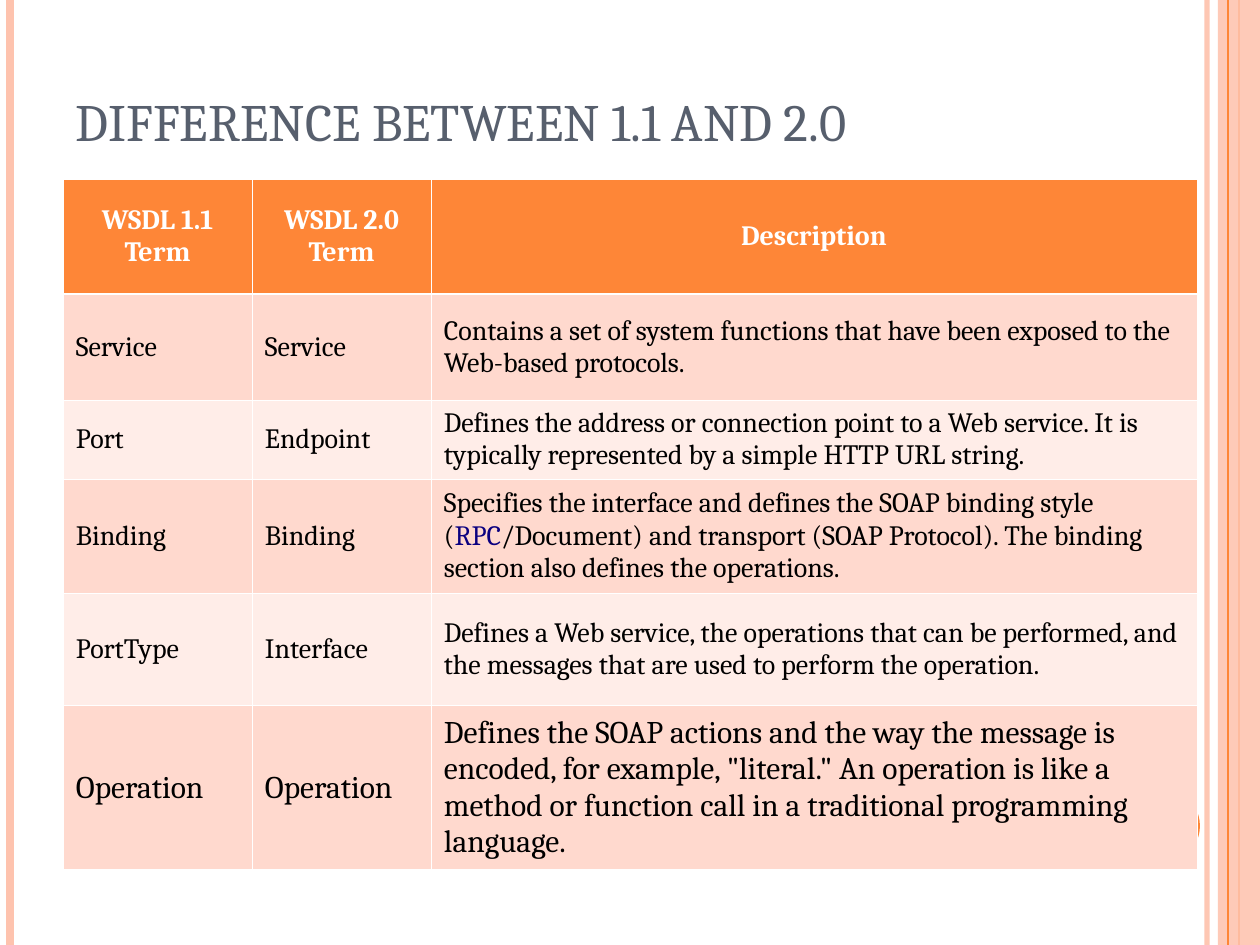
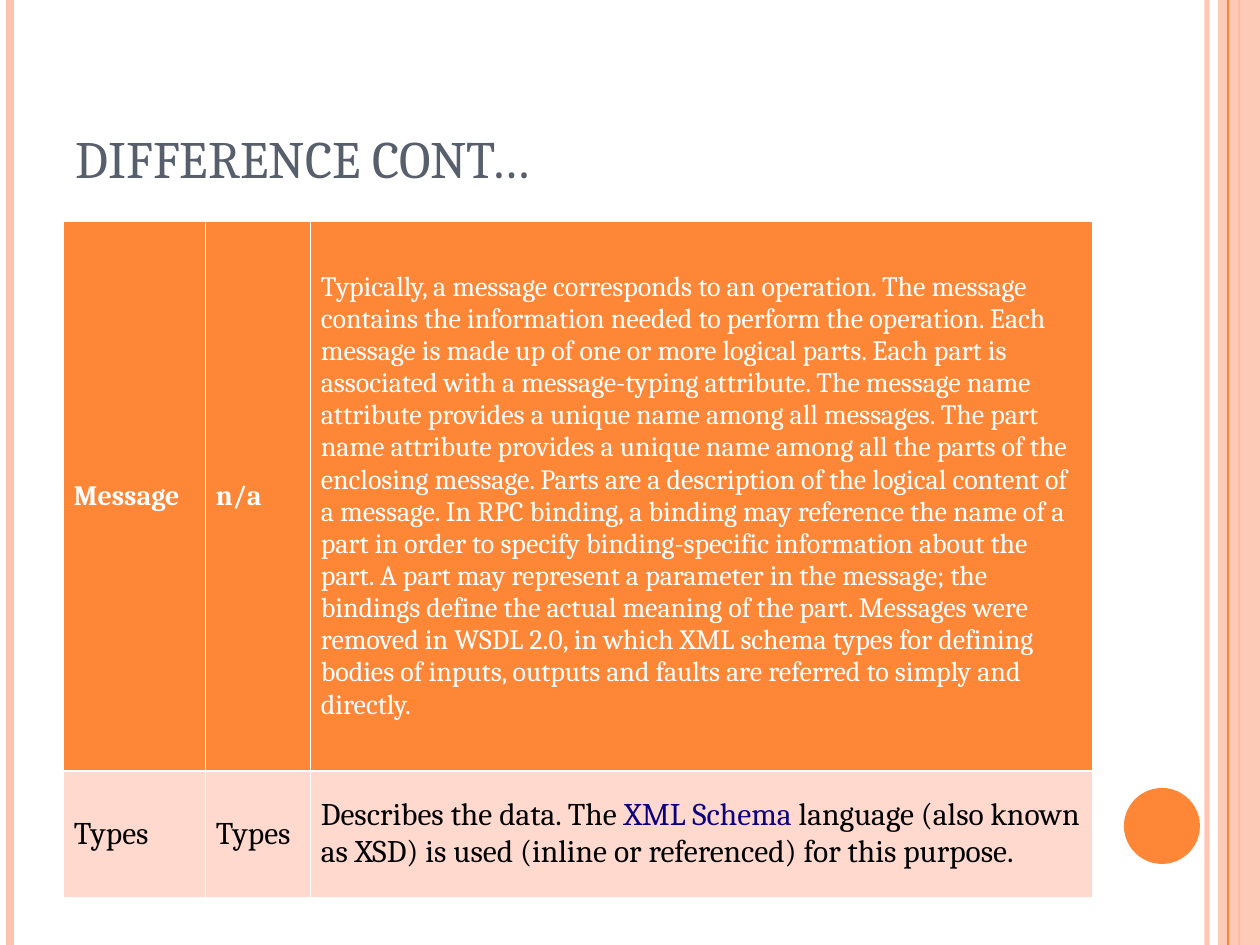
from lxml import etree
from pptx import Presentation
from pptx.dml.color import RGBColor
from pptx.enum.shapes import MSO_CONNECTOR, MSO_SHAPE
from pptx.enum.text import MSO_ANCHOR, MSO_AUTO_SIZE, PP_ALIGN
from pptx.oxml.ns import qn
from pptx.util import Emu, Pt

STRAIGHT = MSO_CONNECTOR.STRAIGHT
RECT, OVAL = MSO_SHAPE.RECTANGLE, MSO_SHAPE.OVAL
LEFT, CENTER = PP_ALIGN.LEFT, PP_ALIGN.CENTER
MIDDLE, BOTTOM = MSO_ANCHOR.MIDDLE, MSO_ANCHOR.BOTTOM
FIXED = MSO_AUTO_SIZE.NONE

ORANGE = RGBColor(0xFE, 0x86, 0x37)
PEACH = RGBColor(0xFE, 0xC3, 0xAE)
ROSE = RGBColor(0xFF, 0xD9, 0xCE)
PALE = RGBColor(0xFF, 0xED, 0xE8)
SLATE = RGBColor(0x57, 0x5F, 0x6D)
NAVY = RGBColor(0x0B, 0x00, 0x80)
WHITE = RGBColor(0xFF, 0xFF, 0xFF)
BLACK = RGBColor(0x00, 0x00, 0x00)

FONT = "Cambria"
WIDE, HIGH = 1260, 945
THIN, THICK = 0.45, 1.47

# A part of a cell between two bars is set in the link colour.
TERMS = [
    ["WSDL 1.1 Term", "WSDL 2.0 Term", "Description"],
    ["Service", "Service",
     "Contains a set of system functions that have been exposed to the "
     "Web-based protocols."],
    ["Port", "Endpoint",
     "Defines the address or connection point to a Web service. It is "
     "typically represented by a simple HTTP URL string."],
    ["Binding", "Binding",
     "Specifies the interface and defines the SOAP binding style "
     "(|RPC|/Document) and transport (SOAP Protocol). The binding section "
     "also defines the operations."],
    ["PortType", "Interface",
     "Defines a Web service, the operations that can be performed, and the "
     "messages that are used to perform the operation."],
    ["Operation", "Operation",
     "Defines the SOAP actions and the way the message is encoded, for "
     "example, \"literal.\" An operation is like a method or function call "
     "in a traditional programming language."],
]
MESSAGE = [
    "Typically, a message corresponds to an operation. The message contains "
    "the information needed to perform the operation. Each message is made "
    "up of one or more logical parts. Each part is associated with a "
    "message-typing attribute. The message name attribute provides a unique "
    "name among all messages.",
    "The part name attribute provides a unique name among all the parts of "
    "the enclosing message. Parts are a description of the logical content "
    "of a message. In RPC binding, a binding may reference the name of a "
    "part in order to specify binding-specific information about the part.",
    "A part may represent a parameter in the message; the bindings define "
    "the actual meaning of the part. Messages were removed in WSDL 2.0, in "
    "which XML schema types for defining bodies of inputs, outputs and "
    "faults are referred to simply and directly.",
]
MORE = [
    ["Message", "n/a", " ".join(MESSAGE)],
    ["Types", "Types",
     "Describes the data. The |XML Schema| language (also known as XSD) is "
     "used (inline or referenced) for this purpose."],
]


def px(count):
    return Emu(round(count * 914400 / 126))


def fade(shape, share):
    """Make the shape's colour opaque to the given percentage."""
    for tint in shape.element.spPr.iter(qn("a:srgbClr")):
        etree.SubElement(tint, qn("a:alpha"), val=str(share * 1000))


def stripe(slide, x, color, width):
    line = slide.shapes.add_connector(STRAIGHT, px(x), 0, px(x), px(HIGH))
    line.line.color.rgb = color
    line.line.width = Pt(width)
    etree.SubElement(line.element.spPr, qn("a:effectLst"))
    return line


def block(slide, kind, box, color):
    shape = slide.shapes.add_shape(kind, *map(px, box))
    shape.shadow.inherit = False
    shape.fill.solid()
    shape.fill.fore_color.rgb = color
    shape.line.fill.background()
    return shape


def frame(slide):
    """Draw the side bands and the disc that all slides share."""
    fade(stripe(slide, 1207, PEACH, 3), 93)
    stripe(slide, 10, PEACH, 4.5)
    stripe(slide, 1239, ORANGE, 1.5)
    fade(block(slide, RECT, (1218, 0, WIDE - 1218, HIGH), PEACH), 87)
    stripe(slide, 1228, ORANGE, 0.75)
    block(slide, OVAL, (1124, 788, 76, 76), ORANGE)


def style(para, size, color, bold=False, align=LEFT):
    para.alignment = align
    font = para.font
    font.name, font.size, font.bold = FONT, Pt(size), bold
    font.color.rgb = color


def head(slide, text, box):
    title = slide.shapes.title
    title.left, title.top, title.width, title.height = map(px, box)
    body = title.text_frame
    body.text = text
    body.auto_size = FIXED
    body.word_wrap = True
    body.vertical_anchor = BOTTOM
    style(body.paragraphs[0], 30, SLATE)


def rule(cell, row):
    """Border a cell in white, heavier between the first two rows."""
    props = cell._tc.get_or_add_tcPr()
    widths = {"L": THIN, "R": THIN,
              "T": THICK if row == 1 else THIN,
              "B": THICK if row == 0 else THIN}
    for side, width in widths.items():
        edge = etree.SubElement(props, qn("a:ln" + side), w=str(Pt(width)))
        fill = etree.SubElement(edge, qn("a:solidFill"))
        etree.SubElement(fill, qn("a:srgbClr"), val=str(WHITE))


def write(cell, text, **look):
    para = cell.text_frame.paragraphs[0]
    style(para, **look)
    for spot, part in enumerate(text.split("|")):
        run = para.add_run()
        run.text = part
        if spot % 2:
            run.font.color.rgb = NAVY


def grid(slide, spot, cols, rows, cells, inset, bold, align):
    """Add a table; the first `bold` cells of its top row are bold."""
    x, y = spot
    table = slide.shapes.add_table(
        len(rows), len(cols), px(x), px(y), px(sum(cols)), px(sum(rows))).table
    table.first_row = table.horz_banding = False
    for col, width in zip(table.columns, cols):
        col.width = px(width)
    for r, height in enumerate(rows):
        table.rows[r].height = px(height)
        top = r == 0
        size = 18 if r == len(rows) - 1 else 16
        shade = ORANGE if top else (PALE, ROSE)[r % 2]
        for c, text in enumerate(cells[r]):
            cell = table.cell(r, c)
            rule(cell, r)
            cell.fill.solid()
            cell.fill.fore_color.rgb = shade
            cell.vertical_anchor = MIDDLE
            cell.margin_left = cell.margin_right = px(inset)
            write(cell, text, size=size, color=WHITE if top else BLACK,
                  bold=top and c < bold, align=align if top else LEFT)


def page(deck, title, box, **table):
    slide = deck.slides.add_slide(deck.slide_layouts[5])
    frame(slide)
    head(slide, title, box)
    grid(slide, **table)


def main():
    deck = Presentation()
    deck.slide_width, deck.slide_height = px(WIDE), px(HIGH)
    page(deck, "DIFFERENCE BETWEEN 1.1 AND 2.0", (63, 63, 1134, 95),
         spot=(63, 179), cols=(189, 179, 766),
         rows=(115, 106, 79, 114, 113, 164), cells=TERMS,
         inset=13, bold=3, align=CENTER)
    page(deck, "DIFFERENCE CONT…", (63, 38, 1029, 157),
         spot=(63, 221), cols=(142, 105, 782), rows=(550, 126), cells=MORE,
         inset=11, bold=2, align=LEFT)
    deck.save("out.pptx")


if __name__ == "__main__":
    main()
